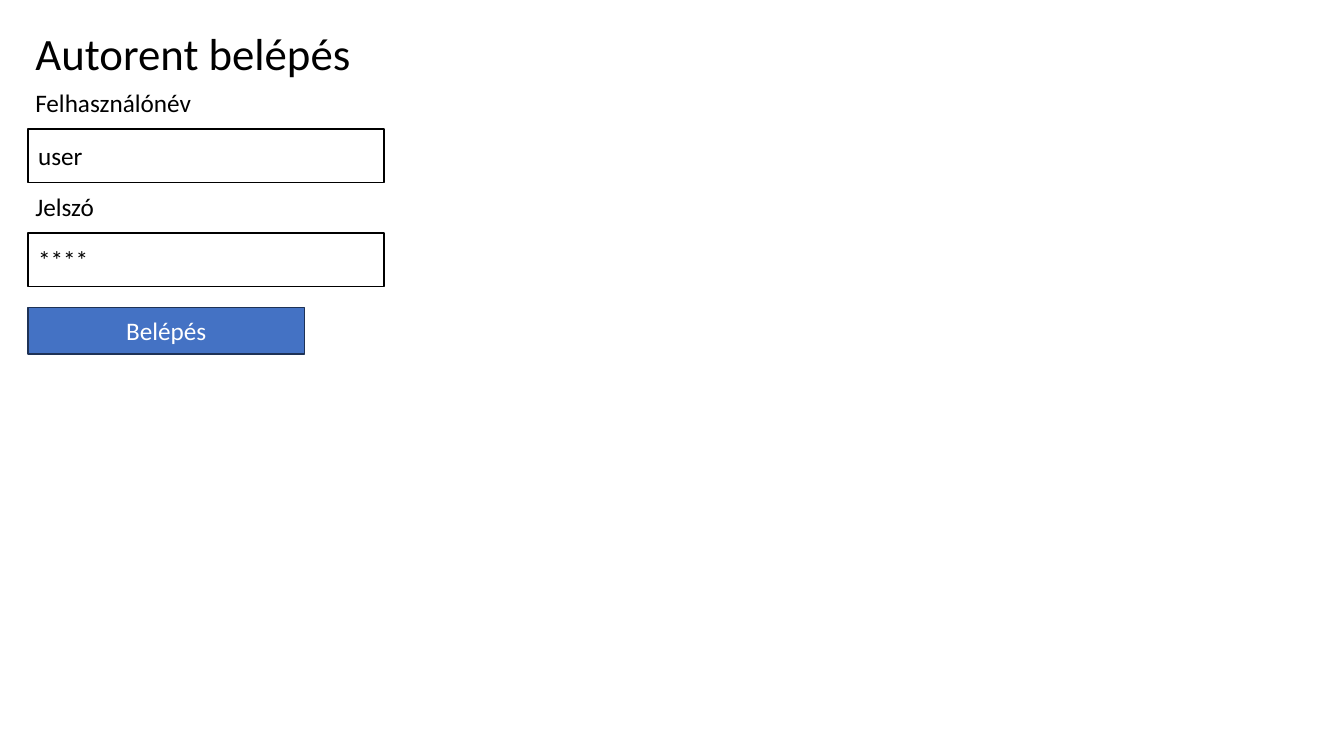
from pptx import Presentation
from pptx.dml.color import RGBColor
from pptx.enum.shapes import MSO_SHAPE
from pptx.enum.text import MSO_ANCHOR, MSO_AUTO_SIZE, PP_ALIGN
from pptx.util import Cm, Pt


def rgb(value):
    return RGBColor.from_string(value)


def write(sp, text, size=18, color="000000", align=PP_ALIGN.LEFT, anchor=MSO_ANCHOR.MIDDLE):
    tf = sp.text_frame
    tf.text = text
    tf.word_wrap = True
    tf.auto_size = MSO_AUTO_SIZE.NONE
    tf.vertical_anchor = anchor
    p = tf.paragraphs[0]
    p.alignment = align
    p.line_spacing = 1.0
    font = p.runs[0].font
    font.name = "Calibri"
    font.size = Pt(size)
    font.color.rgb = rgb(color)


prs = Presentation()
prs.slide_width = Cm(33.87)
prs.slide_height = Cm(19.05)
s = prs.slides.add_slide(prs.slide_layouts[5])

title = s.shapes.title
title.left, title.top, title.width, title.height = Cm(0.64), Cm(0.53), Cm(9.12), Cm(1.63)
write(title, "Autorent belépés", size=32, anchor=MSO_ANCHOR.TOP)

label_top, row_step = 2.08, 2.62
for i, (label, value) in enumerate([("Felhasználónév", "user"), ("Jelszó", "****")]):
    top = label_top + i * row_step
    field = s.shapes.add_shape(MSO_SHAPE.RECTANGLE, Cm(0.71), Cm(top + 1.17), Cm(8.97), Cm(1.35))
    field.shadow.inherit = False
    field.fill.solid()
    field.fill.fore_color.rgb = rgb("FFFFFF")
    field.line.color.rgb = rgb("000000")
    field.line.width = Pt(1)
    write(field, value)
    caption = s.shapes.add_textbox(Cm(0.64), Cm(top), Cm(9.12), Cm(1.02))
    write(caption, label, anchor=MSO_ANCHOR.TOP)

button = s.shapes.add_shape(MSO_SHAPE.ACTION_BUTTON_CUSTOM, Cm(0.71), Cm(7.75), Cm(6.96), Cm(1.17))
button.shadow.inherit = False
button.fill.solid()
button.fill.fore_color.rgb = rgb("4472C4")
button.line.color.rgb = rgb("1E3256")
button.line.width = Pt(1)
write(button, "Belépés", color="FFFFFF", align=PP_ALIGN.CENTER)

prs.save("out.pptx")
